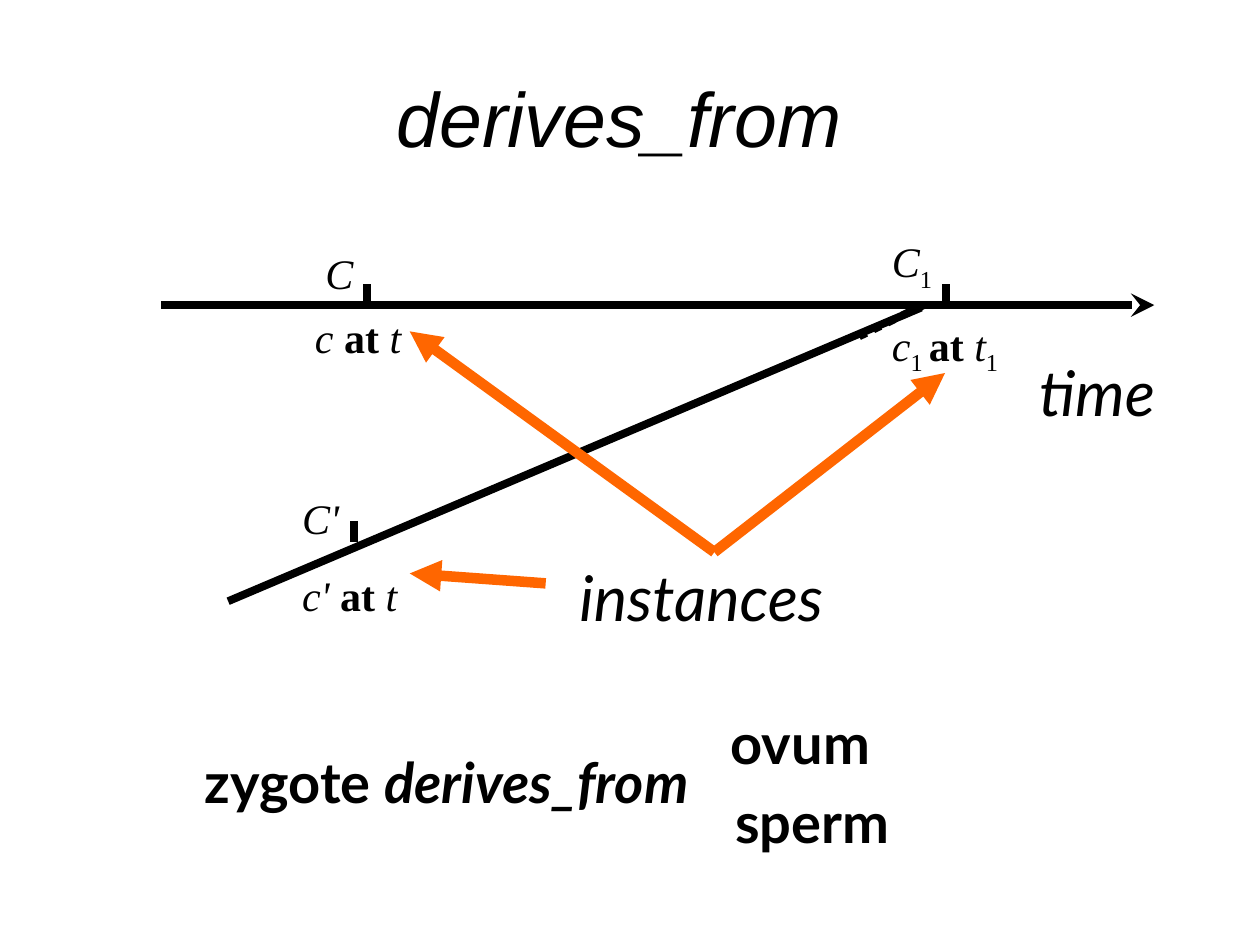
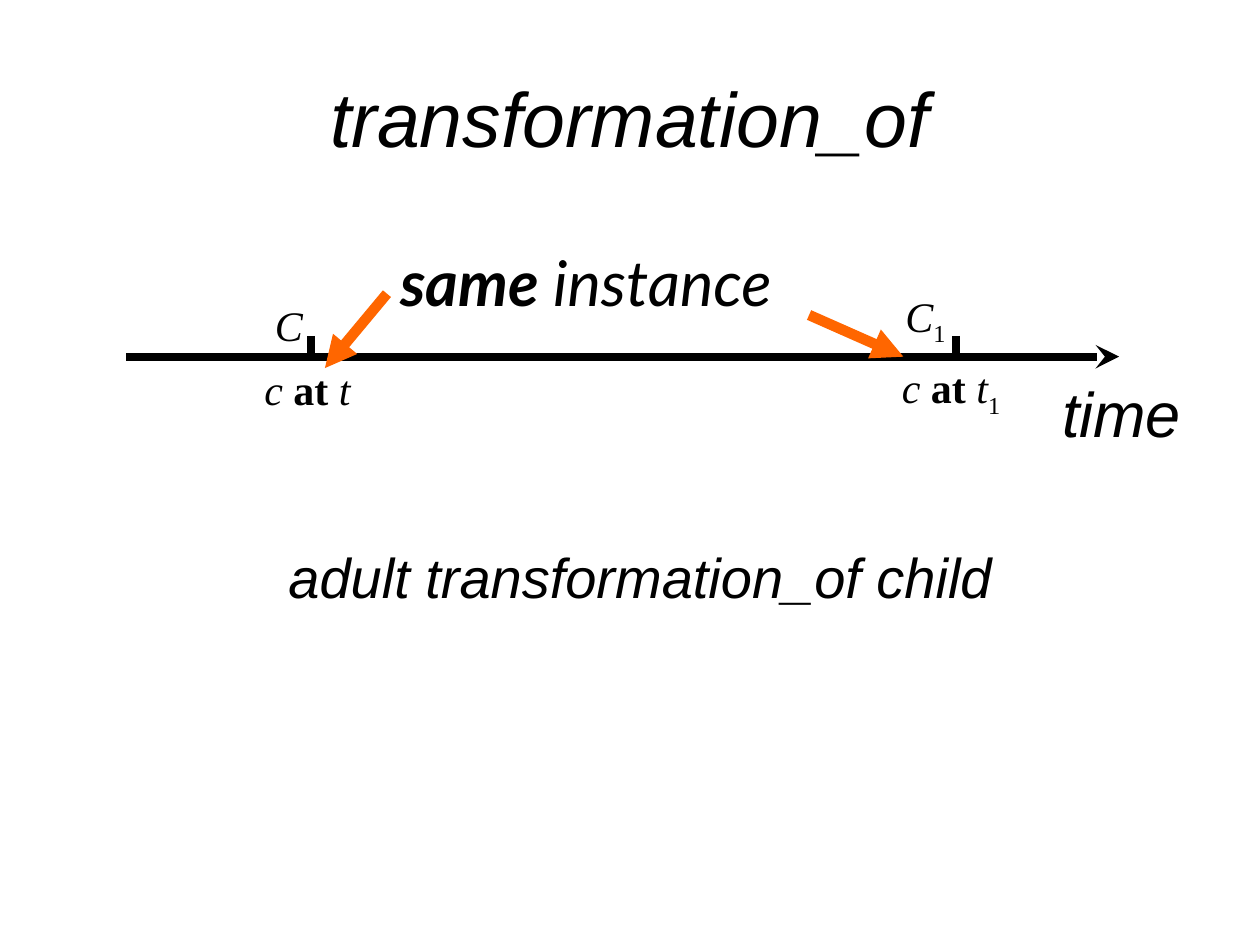
from pptx import Presentation
from pptx.dml.color import RGBColor
from pptx.enum.dml import MSO_LINE_DASH_STYLE as Dash
from pptx.enum.shapes import MSO_CONNECTOR as Connector
from pptx.enum.text import MSO_ANCHOR as Anchor, MSO_AUTO_SIZE as AutoSize, PP_ALIGN as Align
from pptx.oxml.ns import qn
from pptx.util import Cm, Pt
from lxml.etree import SubElement

BLACK = RGBColor(0x00, 0x00, 0x00)
ORANGE = RGBColor(0xFF, 0x66, 0x00)
SANS, SERIF, HUMANIST = "Arial", "Times New Roman", "Lato"
TITLE_ONLY = 5
AXIS_LENGTH = 20.02
TICK_HEIGHT = 0.42
C_AT_T = [("c ", "i"), ("at ", "b"), ("t", "i")]
C_1 = [("C", "i"), ("1", "sub")]


def write_spans(para, spans, font, size):
    for text, style in spans:
        span = para.add_run()
        span.text = text
        span.font.name = font
        span.font.size = Pt(size)
        span.font.color.rgb = BLACK
        span.font.bold = "b" in style and style != "sub"
        span.font.italic = "i" in style
        if style == "sub":
            span.font._element.set("baseline", "-25000")


def add_text(page, box, *paragraphs, font=HUMANIST, size=36, align=Align.LEFT,
             wrap=True, inset=(0.25, 0.13), gap=0, indent=0):
    shape = page.shapes.add_textbox(*map(Cm, box))
    frame = shape.text_frame
    frame.word_wrap = wrap
    frame.auto_size = AutoSize.NONE if wrap else AutoSize.SHAPE_TO_FIT_TEXT
    frame.margin_left = frame.margin_right = Cm(inset[0])
    frame.margin_top = frame.margin_bottom = Cm(inset[1])
    for index, spans in enumerate(paragraphs):
        para = frame.add_paragraph() if index else frame.paragraphs[0]
        para.alignment = align
        para.space_after = Pt(gap)
        if indent and index == 0:
            para._p.get_or_add_pPr().set("marL", str(Cm(indent)))
        write_spans(para, spans, font, size)


def add_label(page, box, *paragraphs, inset=(0.2, 0.1), gap=15, indent=0):
    add_text(page, box, *paragraphs, font=SERIF, size=24, inset=inset, gap=gap, indent=indent)


def add_line(page, start, end, color=BLACK, width=4.5, head=None, dash=None):
    line = page.shapes.add_connector(Connector.STRAIGHT, *map(Cm, start + end))
    line.line.color.rgb = color
    line.line.width = Pt(width)
    if dash:
        line.line.dash_style = dash
    if head:
        SubElement(line.line._get_or_add_ln(), qn("a:tailEnd"), type=head)
    SubElement(line._element.spPr, qn("a:effectLst"))


def add_pointer(page, start, end):
    add_line(page, start, end, color=ORANGE, width=6, head="triangle")


def add_tick(page, x, bottom):
    add_line(page, (x, bottom - TICK_HEIGHT), (x, bottom))


def add_timeline(page, left, top, ticks):
    add_line(page, (left, top), (left + AXIS_LENGTH, top), head="stealth")
    for offset in ticks:
        add_tick(page, left + offset, top)


def add_titled_page(deck, text):
    page = deck.slides.add_slide(deck.slide_layouts[TITLE_ONLY])
    title = page.shapes.title
    title.left, title.top, title.width, title.height = map(Cm, (1.27, 0.76, 22.86, 3.18))
    title.text_frame.vertical_anchor = Anchor.MIDDLE
    para = title.text_frame.paragraphs[0]
    para.alignment = Align.CENTER
    write_spans(para, [(text, "i")], SANS, 44)
    return page


def draw_derivation(page, left, top):
    def at(x, y, *size):
        return (left + x, top + y, *size)

    add_timeline(page, left, top, (4.14, 15.82))
    add_line(page, at(1.35, 5.97), at(15.32, 0.05))
    add_line(page, at(14.07, 0.63), at(15.37, 0), dash=Dash.ROUND_DOT)
    add_tick(page, left + 3.89, top + 4.77)
    add_label(page, at(2.9, -1.27, 2.69, 2.84), [("C", "i")], C_AT_T, gap=8, indent=0.21)
    add_label(page, at(14.53, -1.5, 3.05, 3.4), C_1,
              [("c", "i"), ("1 ", "sub"), ("at ", "b"), ("t", "i"), ("1", "sub")])
    add_label(page, at(2.59, 3.65, 4.24, 2.82), [("C'", "i")],
              [("c' ", "i"), ("at ", "b"), ("t", "i")], inset=(0.25, 0.13))
    add_text(page, at(17.45, 0.84, 3, 1.78), [("time", "i")], wrap=False)
    add_text(page, at(8.18, 4.98, 8.69, 1.78), [("instances", "i")])
    for target in ((15.8, 1.37), (5.01, 0.53)):
        add_pointer(page, at(11.15, 4.98), at(*target))
    add_pointer(page, at(7.75, 5.61), at(5.01, 5.41))


def draw_zygote_example(page, left, top):
    style = dict(size=32, wrap=False)
    add_text(page, (left, top + 0.79, 11.46, 1.63),
             [("zygote ", "b"), ("derives_from", "bi")], align=Align.CENTER, **style)
    add_text(page, (left + 11.2, top, 3.71, 1.63), [("ovum", "b")], **style)
    add_text(page, (left + 11.07, top + 1.6, 4.06, 1.63), [("sperm", "b")],
             align=Align.CENTER, **style)


def draw_transformation(page, left, top):
    def at(x, y, *size):
        return (left + x, top + y, *size)

    add_timeline(page, left, top, (3.73, 16.74))
    add_label(page, at(2.59, -1.25, 2.69, 2.84), [("C", "i")], C_AT_T, gap=8, indent=0.21)
    add_label(page, at(14.4, -1.47, 4.24, 1.42), C_1, inset=(0.25, 0.13), indent=1.06)
    add_label(page, at(15.44, 0, 3.05, 1.3), C_AT_T + [("1", "sub")])
    add_text(page, at(18.62, 0.23, 4.2, 1.78), [("time", "i")], font=SANS)
    add_text(page, at(5.28, -2.41, 9.73, 1.78), [("same ", "bi"), ("instance", "i")])
    add_pointer(page, at(13.77, -0.84), at(15.67, 0))
    add_pointer(page, at(5.26, -1.27), at(4.01, 0.23))


def draw_adult_example(page, left, top):
    add_text(page, (left, top, 14.71, 1.63), [("adult transformation_of child", "i")],
             font=SANS, size=32, align=Align.CENTER, wrap=False)


def main():
    deck = Presentation()
    deck.slide_width, deck.slide_height = Cm(25.4), Cm(19.05)

    page = add_titled_page(deck, "derives_from ")
    draw_derivation(page, 3.25, 6.15)
    draw_zygote_example(page, 3.28, 14.15)

    page = add_titled_page(deck, "transformation_of")
    draw_transformation(page, 2.54, 7.19)
    draw_adult_example(page, 5.56, 10.8)

    deck.save("out.pptx")


if __name__ == "__main__":
    main()
